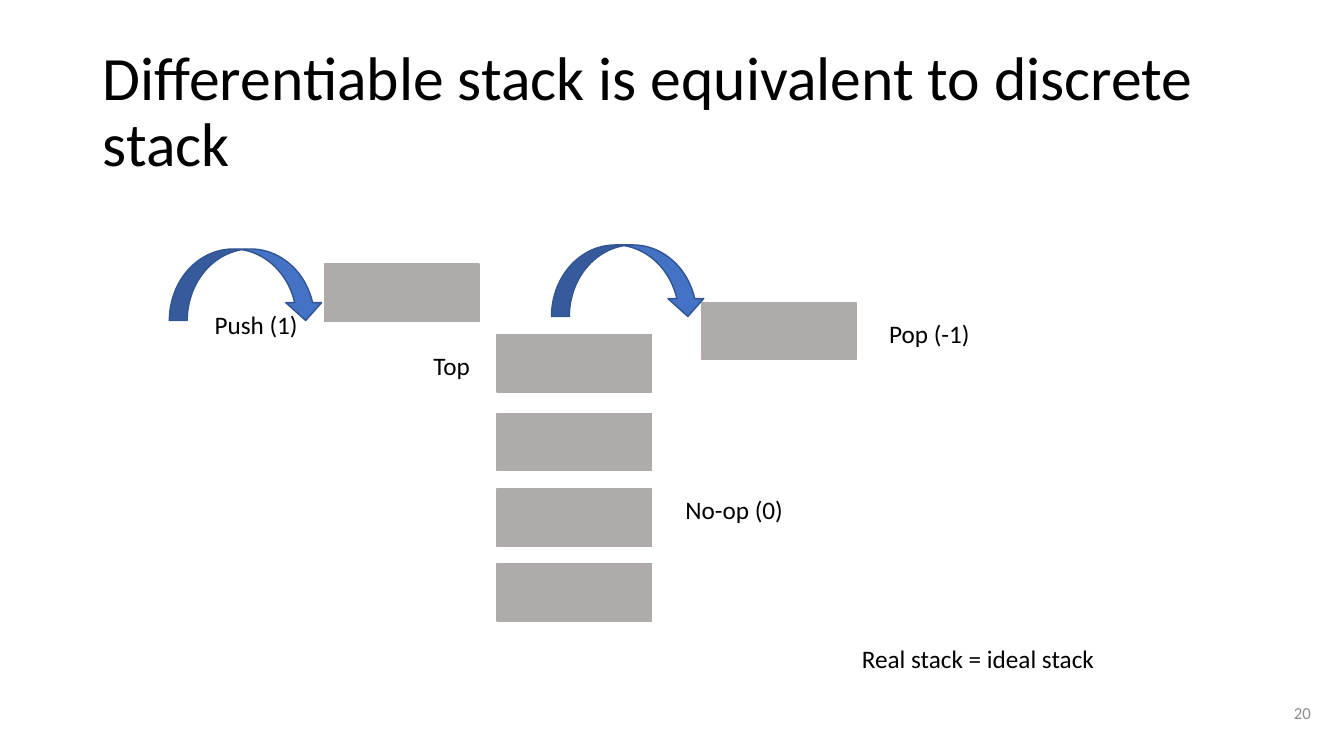
import pptx
import pptx.dml.color
import pptx.enum.shapes
import pptx.enum.text
import pptx.util

Inches = pptx.util.Inches
SHAPES = pptx.enum.shapes.MSO_SHAPE
ALIGN = pptx.enum.text.PP_ALIGN
ANCHOR = pptx.enum.text.MSO_ANCHOR

TITLE = "Differentiable stack is equivalent to discrete stack"
SLIDE_NUMBER = "20"
FONT = "Calibri"
COLORS = {
    "text": "000000",
    "number": "8C8C8C",
    "cell": "AFABAB",
    "arrow": "4472C4",
    "arrow_edge": "325491",
}

# Left and top of each part, in inches
STACK_LEFT = 4.93
STACK_TOPS = [3.32, 4.1, 4.85, 5.59]
POPPED_CELL = (6.96, 3)
PUSHED_CELL = (3.22, 2.62)
ARROWS = [(1.68, 2.47), (5.47, 2.43)]
CELL_SIZE = (1.53, 0.57)
ARROW_SIZE = (1.53, 0.71)

# Text, left, top, width
LABELS = [
    ("Pop (-1)", 8.72, 3.11, 1.49),
    ("Push (1)", 2.03, 3.02, 1.4),
    ("Top", 4.2, 3.43, 0.96),
    ("No-op (0)", 6.7, 4.85, 1.49),
    ("Real stack = ideal stack", 8.45, 6.33, 3.53),
]
LABEL_HEIGHT = 0.4


def rgb(name):
    return pptx.dml.color.RGBColor.from_string(COLORS[name])


def write(frame, text, size, color="text", align=ALIGN.LEFT, anchor=ANCHOR.TOP):
    frame.text = text
    frame.word_wrap = True
    frame.auto_size = pptx.enum.text.MSO_AUTO_SIZE.NONE
    frame.vertical_anchor = anchor
    paragraph = frame.paragraphs[0]
    paragraph.alignment = align
    font = paragraph.runs[0].font
    font.name = FONT
    font.size = pptx.util.Pt(size)
    font.color.rgb = rgb(color)


def add_label(slide, text, box, size, **style):
    label = slide.shapes.add_textbox(*map(Inches, box))
    write(label.text_frame, text, size, **style)


def add_part(slide, kind, position, size, fill, edge):
    part = slide.shapes.add_shape(kind, *map(Inches, position + size))
    part.shadow.inherit = False
    part.fill.solid()
    part.fill.fore_color.rgb = rgb(fill)
    part.line.color.rgb = rgb(edge)
    part.line.width = pptx.util.Pt(1)


def main():
    deck = pptx.Presentation()
    deck.slide_width, deck.slide_height = Inches(13.33), Inches(7.5)
    slide = deck.slides.add_slide(deck.slide_layouts.get_by_name("Title Only"))

    title = slide.shapes.title
    title.left, title.top = Inches(0.92), Inches(0.4)
    title.width, title.height = Inches(11.5), Inches(1.45)
    write(title.text_frame, TITLE, 44, anchor=ANCHOR.MIDDLE)
    title.text_frame.paragraphs[0].line_spacing = 0.9

    add_label(slide, SLIDE_NUMBER, (12.4, 6.87, 0.7, 0.4), 12,
              color="number", align=ALIGN.RIGHT, anchor=ANCHOR.MIDDLE)

    stack = [(STACK_LEFT, top) for top in STACK_TOPS]
    for position in stack + [POPPED_CELL, PUSHED_CELL]:
        add_part(slide, SHAPES.RECTANGLE, position, CELL_SIZE, "cell", "cell")
    for position in ARROWS:
        add_part(slide, SHAPES.CURVED_DOWN_ARROW, position, ARROW_SIZE,
                 "arrow", "arrow_edge")
    for text, left, top, width in LABELS:
        add_label(slide, text, (left, top, width, LABEL_HEIGHT), 18)

    deck.save("out.pptx")


if __name__ == "__main__":
    main()
